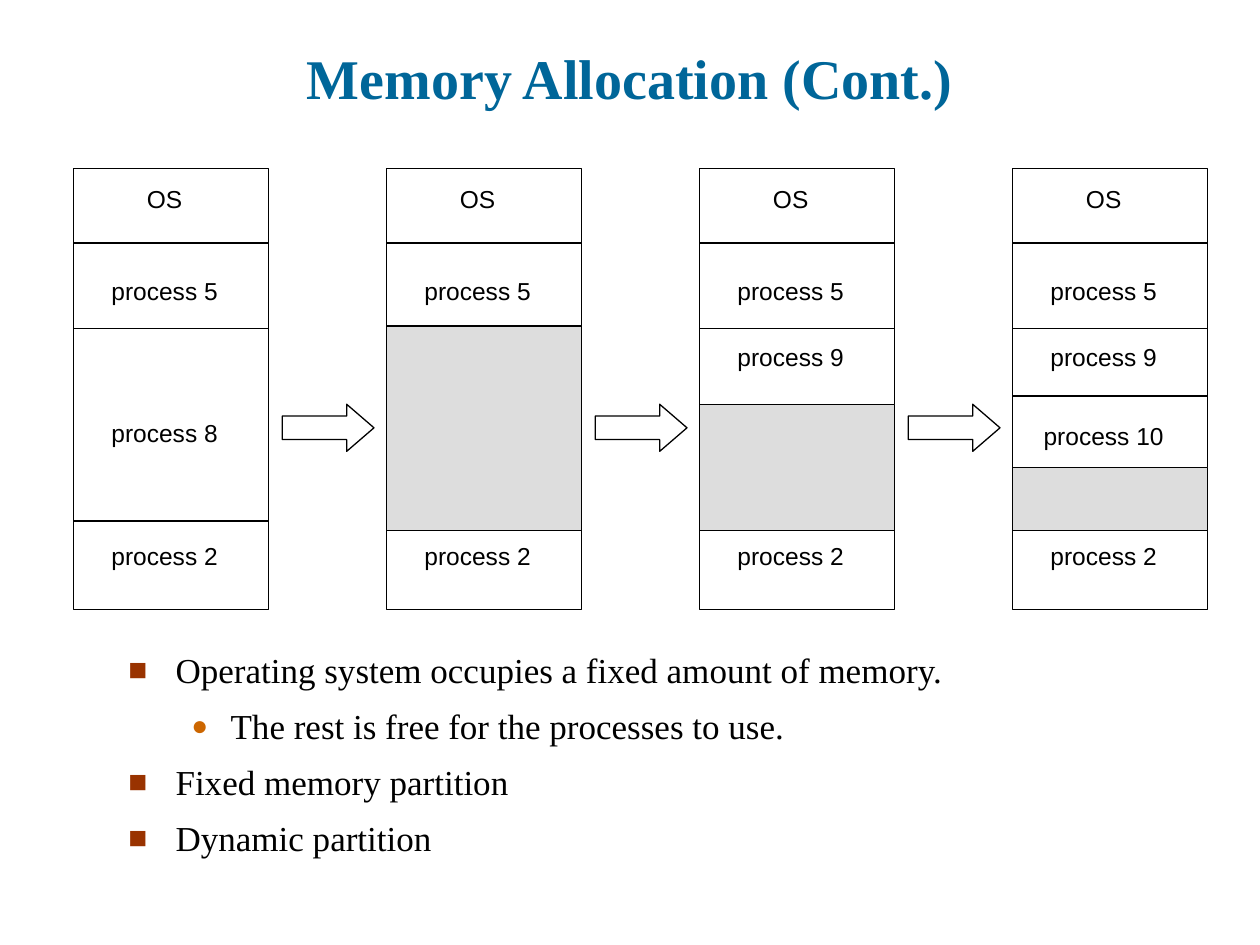
from lxml.etree import SubElement
from pptx import Presentation
from pptx.dml.color import RGBColor
from pptx.enum.shapes import MSO_CONNECTOR as Connector, MSO_SHAPE as Shape
from pptx.enum.text import MSO_ANCHOR as Anchor, PP_ALIGN as Align
from pptx.oxml.ns import qn
from pptx.util import Cm, Pt

COLORS = {"title": "006699", "ink": "000000", "used": "FFFFFF", "free": "DDDDDD",
          "square": "993300", "dot": "CC6600"}
TITLE_FONT = {"name": "Times New Roman", "size": Pt(32), "bold": True}
BODY_FONT = {"name": "Times New Roman", "size": Pt(20)}
LABEL_FONT = {"name": "Arial", "size": Pt(14)}


def add_box(kind, left, top, width, height, fill):
    """Add an outlined preset shape; lengths in centimetres."""
    box = slide.shapes.add_shape(kind, Cm(left), Cm(top), Cm(width), Cm(height))
    box.shadow.inherit = False
    box.fill.solid()
    box.fill.fore_color.rgb = RGBColor.from_string(COLORS[fill])
    box.line.color.rgb = RGBColor.from_string(COLORS["ink"])
    box.line.width = Pt(0.75)
    return box


def write(paragraph, text, font, color):
    paragraph.text = text
    for key, value in font.items():
        setattr(paragraph.font, key, value)
    paragraph.font.color.rgb = RGBColor.from_string(COLORS[color])


prs = Presentation()
prs.slide_width, prs.slide_height = Cm(25.4), Cm(19.05)
slide = prs.slides.add_slide(prs.slide_layouts[6])

title = slide.shapes.add_textbox(Cm(1.27), Cm(0.76), Cm(22.86), Cm(1.6)).text_frame
title.word_wrap = True
title.vertical_anchor = Anchor.BOTTOM
title.paragraphs[0].alignment = Align.CENTER
write(title.paragraphs[0], "Memory Allocation (Cont.)", TITLE_FONT, "title")

# Bullet levels: character, colour, size in %, left margin and hanging indent in cm
LEVELS = [("■", "square", 90, 0.95, 0.95), ("●", "dot", 80, 2.06, 0.79)]
POINTS = [
    (0, "Operating system occupies a fixed amount of memory."),
    (1, "The rest is free for the processes to use."),
    (0, "Fixed memory partition"),
    (0, "Dynamic partition"),
]
body = slide.shapes.add_textbox(Cm(2.34), Cm(12.95), Cm(22.86), Cm(4.83)).text_frame
body.word_wrap = True
for number, (level, text) in enumerate(POINTS):
    point = body.add_paragraph() if number else body.paragraphs[0]
    point.level = level
    if number:
        point.space_before = Pt(8)
    bullet, color, percent, margin, hanging = LEVELS[level]
    properties = point._p.get_or_add_pPr()
    properties.set("marL", str(Cm(margin)))
    properties.set("indent", str(-Cm(hanging)))
    bullet_color = SubElement(properties, qn("a:buClr"))
    SubElement(bullet_color, qn("a:srgbClr"), val=COLORS[color])
    SubElement(properties, qn("a:buSzPct"), val=str(percent * 1000))
    SubElement(properties, qn("a:buFont"), typeface="Arial")
    SubElement(properties, qn("a:buChar"), char=bullet)
    write(point, text, BODY_FONT, "ink")

# Memory snapshots: dividers, top of the free block, and labels with their tops, in cm
FIRST_LEFT, PITCH, WIDTH = 1.48, 6.31, 3.94
MEMORY_TOP, MEMORY_HEIGHT, FREE_BOTTOM = 3.4, 8.89, 10.69
COMMON_LABELS = [("OS", 3.38), ("process 5", 5.23), ("process 2", 10.57)]
SNAPSHOTS = [
    ([4.9, 6.62, 10.5], None, [("process 8", 8.08)]),
    ([4.9], 6.57, []),
    ([4.9, 6.62], 8.15, [("process 9", 6.55)]),
    ([4.9, 6.62, 7.98], 9.42, [("process 9", 6.55), ("process 10", 8.15)]),
]
for column, (dividers, free_top, processes) in enumerate(SNAPSHOTS):
    left = FIRST_LEFT + column * PITCH
    add_box(Shape.RECTANGLE, left, MEMORY_TOP, WIDTH, MEMORY_HEIGHT, "used")
    for y in dividers:
        divider = slide.shapes.add_connector(
            Connector.STRAIGHT, Cm(left), Cm(y), Cm(left + WIDTH), Cm(y))
        divider.line.color.rgb = RGBColor.from_string(COLORS["ink"])
        divider.line.width = Pt(0.75)
        SubElement(divider._element.spPr, qn("a:effectLst"))
    if free_top:
        add_box(Shape.RECTANGLE, left, free_top, WIDTH, FREE_BOTTOM - free_top, "free")
    for text, top in COMMON_LABELS + processes:
        label = slide.shapes.add_textbox(Cm(left), Cm(top), Cm(3.68), Cm(1.27)).text_frame
        label.word_wrap = True
        label.vertical_anchor = Anchor.MIDDLE
        label.paragraphs[0].alignment = Align.CENTER
        write(label.paragraphs[0], text, LABEL_FONT, "ink")
    if column:
        arrow = add_box(Shape.RIGHT_ARROW, left - 2.1, 8.15, 1.85, 0.95, "used")
        arrow.adjustments[1] = 0.58

prs.save("out.pptx")
